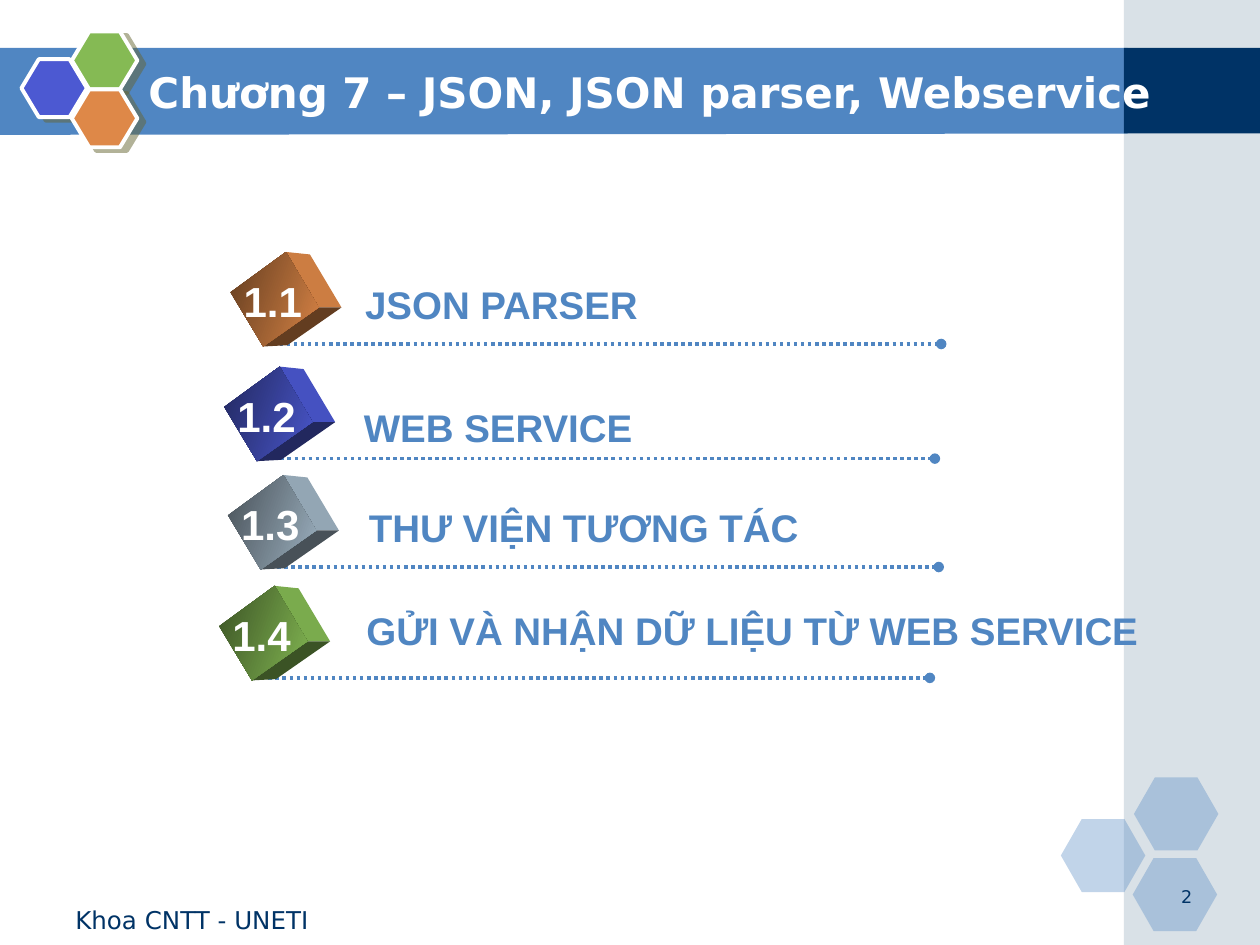
from lxml import etree
from pptx import Presentation
from pptx import util as u
from pptx.dml.color import RGBColor
from pptx.enum import dml, shapes, text
from pptx.oxml import ns

WHITE = RGBColor(0xFF, 0xFF, 0xFF)
BLUE = RGBColor(0x50, 0x86, 0xC2)
NAVY = RGBColor(0x00, 0x33, 0x66)
MIST = RGBColor(0xA0, 0xB5, 0xC4)
INDIGO = RGBColor(0x4C, 0x59, 0xD2)
GREEN = RGBColor(0x85, 0xBA, 0x54)
ORANGE = RGBColor(0xDE, 0x88, 0x48)
OLIVE = RGBColor(0x66, 0x66, 0x33)

COLUMNS, ROWS = 100, 75
RECT = shapes.MSO_SHAPE.RECTANGLE
HEXAGON = shapes.MSO_SHAPE.HEXAGON

TITLE = {"size": u.Pt(24), "name": "DejaVu Sans", "bold": True}
NUMBER = {"size": u.Pt(24), "name": "Arial", "bold": True}
LABEL = {"size": u.Pt(22), "name": "Arial", "bold": True}
FOOTER = {"size": u.Pt(14), "name": "DejaVu Sans"}
PAGE = {"size": u.Pt(10), "name": "DejaVu Sans"}

FRONT = [(0, 3.2), (4.4, 0), (7.0, 4.4), (2.6, 7.5)]
SIDE = [(4.4, 0), (6.3, 0.2), (8.8, 4.4), (7.0, 4.4)]
BASE = [(2.6, 7.5), (7.0, 4.4), (8.8, 4.4), (4.5, 7.4)]


def shade(color, share):
    return RGBColor(*(int(part * share) for part in color))


def add_xml(parent, tag, **attrs):
    el = etree.SubElement(parent, ns.qn(tag))
    for key, value in attrs.items():
        el.set(key, str(value))
    return el


class Deck:
    def __init__(self):
        self.prs = Presentation()
        self.prs.slide_width, self.prs.slide_height = u.Inches(10), u.Inches(7.5)
        self.s = self.prs.slides.add_slide(self.prs.slide_layouts[6])

    def x(self, columns):
        return int(self.prs.slide_width * columns / COLUMNS)

    def y(self, rows):
        return int(self.prs.slide_height * rows / ROWS)

    def box(self, left, top, width, height):
        return self.x(left), self.y(top), self.x(width), self.y(height)

    def shape(self, kind, box, color, alpha=None, adj=None):
        sp = self.s.shapes.add_shape(kind, *self.box(*box))
        sp.shadow.inherit = False
        sp.fill.solid()
        sp.fill.fore_color.rgb = color
        sp.line.fill.background()
        if adj is not None:
            sp.adjustments[0] = adj
        if alpha is not None:
            clr = sp.element.spPr.find(".//" + ns.qn("a:srgbClr"))
            add_xml(clr, "a:alpha", val=alpha * 1000)
        return sp

    def badge(self, left, top, color):
        sp = self.shape(HEXAGON, (left, top, 5.2, 4.6), color, adj=0.3)
        sp.line.color.rgb = WHITE
        sp.line.width = u.Pt(2.25)
        effects = sp.element.spPr.find(ns.qn("a:effectLst"))
        shadow = add_xml(effects, "a:outerShdw", dist=int(u.Pt(4.5)), dir=27 * 60000,
                         algn="ctr", rotWithShape=0)
        clr = add_xml(shadow, "a:srgbClr", val=OLIVE)
        add_xml(clr, "a:alpha", val=50000)

    def polygon(self, points, color, left=0, top=0, dark=None):
        pts = [(self.x(left + px), self.y(top + py)) for px, py in points]
        builder = self.s.shapes.build_freeform(*pts[0])
        builder.add_line_segments(pts[1:], close=True)
        sp = builder.convert_to_shape()
        sp.shadow.inherit = False
        sp.line.fill.background()
        if dark is None:
            sp.fill.solid()
            sp.fill.fore_color.rgb = color
        else:
            sp.fill.gradient()
            sp.fill.gradient_angle = 340
            for stop, rgb in zip(sp.fill.gradient_stops, (dark, color)):
                stop.color.rgb = rgb

    def cube(self, left, top, color):
        self.polygon(SIDE, shade(color, 0.92), left, top)
        self.polygon(BASE, shade(color, 0.45), left, top)
        self.polygon(FRONT, shade(color, 0.97), left, top, shade(color, 0.45))

    def dotted_line(self, left, top, length):
        y = self.y(top)
        ln = self.s.shapes.add_connector(shapes.MSO_CONNECTOR.STRAIGHT,
                                         self.x(left), y, self.x(left + length), y)
        ln.line.color.rgb = BLUE
        ln.line.width = u.Pt(2)
        ln.line.dash_style = dml.MSO_LINE.ROUND_DOT
        add_xml(ln.element.spPr.find(ns.qn("a:ln")), "a:tailEnd", type="oval")
        add_xml(ln.element.spPr, "a:effectLst")

    def text_box(self, words, box, style, color, align=text.PP_ALIGN.LEFT,
                 anchor=text.MSO_ANCHOR.TOP, wrap=False):
        tf = self.s.shapes.add_textbox(*self.box(*box)).text_frame
        tf.word_wrap = wrap
        tf.vertical_anchor = anchor
        p = tf.paragraphs[0]
        p.alignment = align
        r = p.add_run()
        r.text = words
        r.font.color.rgb = color
        for key, value in style.items():
            setattr(r.font, key, value)

    def entry(self, number, words, left, line_y, label_x, label_y, width, color):
        self.dotted_line(left, line_y, 52.5)
        self.cube(left - 3.9, line_y - 7.3, color)
        self.text_box(number, (left - 3.9, line_y - 5.9, 6.7, 5), NUMBER, WHITE,
                      text.PP_ALIGN.CENTER)
        self.text_box(words, (label_x, label_y, width, 4.7), LABEL, BLUE)


def main():
    deck = Deck()
    deck.polygon([(0, 3.8), (89.5, 3.8), (89.5, 10.6), (0, 10.7)], BLUE)
    deck.shape(RECT, (89.2, 0, 10.8, 75), MIST, alpha=40)
    deck.shape(RECT, (89.2, 3.8, 10.8, 6.8), NAVY)
    for left, top in ((84.2, 65), (90, 61.7), (89.9, 68.1)):
        deck.shape(HEXAGON, (left, top, 6.7, 5.8), BLUE, alpha=35, adj=0.286)
    for left, top, color in ((1.7, 4.7, INDIGO), (5.7, 2.5, GREEN), (5.7, 7.1, ORANGE)):
        deck.badge(left, top, color)
    deck.text_box("Chương 7 – JSON, JSON parser, Webservice", (10.8, 4.2, 92.5, 6.2),
                  TITLE, WHITE, anchor=text.MSO_ANCHOR.MIDDLE, wrap=True)

    entries = [
        ("1.1", "JSON PARSER", 22.2, 27.3, 28, 21.8, 24, ORANGE),
        ("1.2", "WEB SERVICE", 21.7, 36.4, 27.9, 31.6, 23.5, INDIGO),
        ("1.3", "THƯ VIỆN TƯƠNG TÁC", 22, 45, 28.3, 39.5, 36.5, MIST),
        ("1.4", "GỬI VÀ NHẬN DỮ LIỆU TỪ WEB SERVICE", 21.3, 53.8, 28.1, 47.7, 63.3, GREEN),
    ]
    for entry in entries:
        deck.entry(*entry)

    deck.text_box("Khoa CNTT - UNETI", (5, 71.3, 23.3, 2.7), FOOTER, NAVY, wrap=True)
    deck.text_box("2", (90.6, 69.8, 5, 2.5), PAGE, NAVY, text.PP_ALIGN.RIGHT, wrap=True)
    deck.prs.save("out.pptx")


if __name__ == "__main__":
    main()
